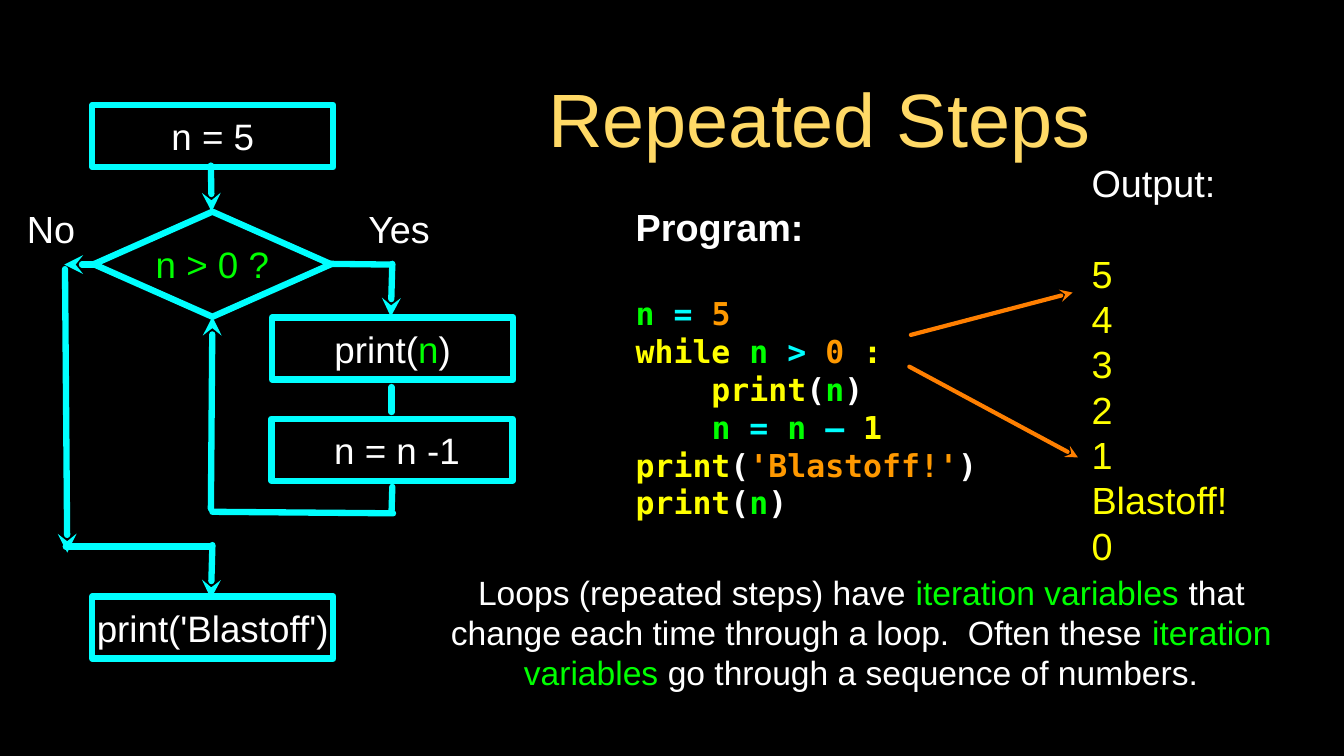
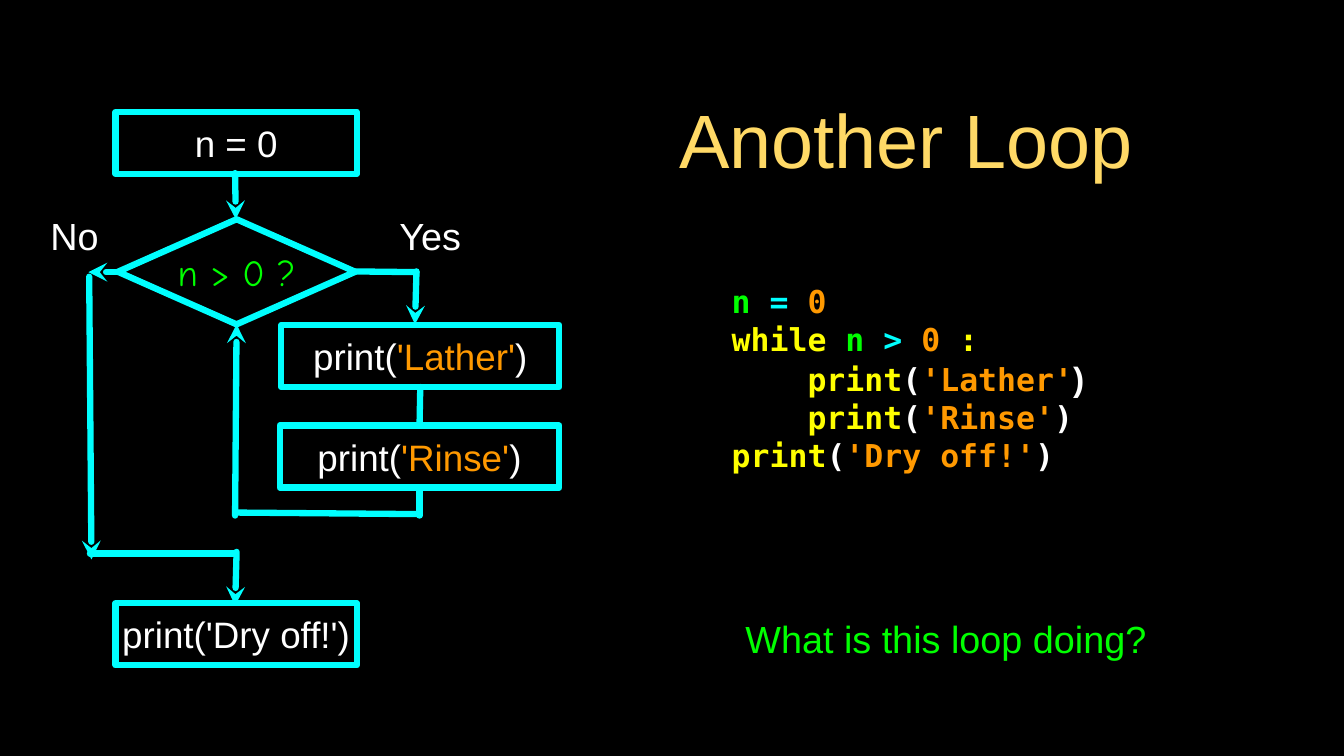
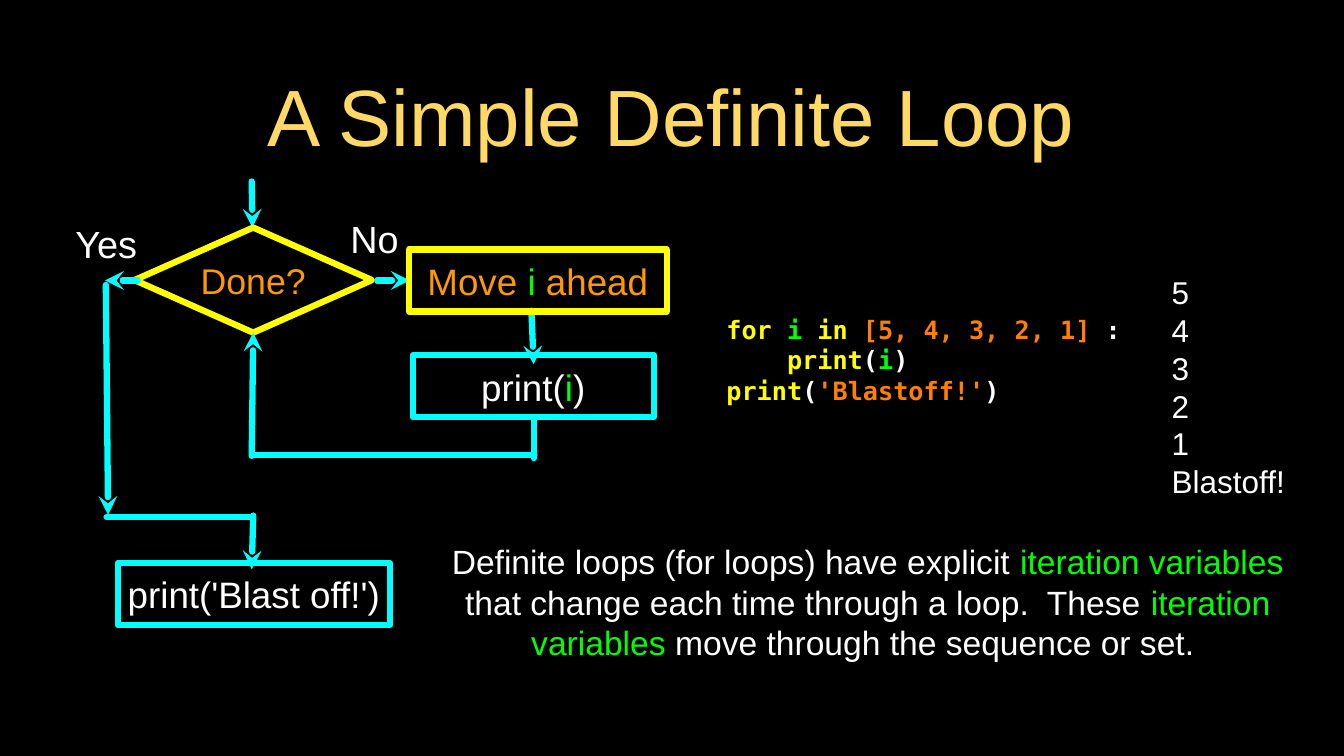
from lxml import etree
from pptx import Presentation
from pptx.dml.color import RGBColor
from pptx.enum.shapes import MSO_CONNECTOR, MSO_SHAPE
from pptx.enum.text import MSO_ANCHOR, MSO_AUTO_SIZE, PP_ALIGN
from pptx.oxml.ns import qn
from pptx.util import Inches, Pt

LEFT, CENTER = PP_ALIGN.LEFT, PP_ALIGN.CENTER
MIDDLE, NO_FIT = MSO_ANCHOR.MIDDLE, MSO_AUTO_SIZE.NONE
BOX, DIAMOND = MSO_SHAPE.RECTANGLE, MSO_SHAPE.DIAMOND
STRAIGHT = MSO_CONNECTOR.STRAIGHT
SANS, MONO, COMIC = "Arial", "DejaVu Sans Mono", "Comic Neue"
TITLE_ONLY = 5
LEADING = 1.2
STEP_HEIGHT = 0.82

COLORS = {
    "background": "000000",
    "title": "FFD966",
    "white": "FFFFFF",
    "cyan": "00FFFF",
    "green": "00FF00",
    "yellow": "FFFF00",
    "amber": "FF9900",
    "orange": "FF7F00",
}

OPEN, CLOSE = ("(", "white"), (")", "white")
PRINT, INDENTED_PRINT = ("print", "yellow"), ("    print", "yellow")


def rgb(name):
    """Return the named colour."""
    return RGBColor.from_string(COLORS[name])


def write(frame, paragraphs, size=35, font=SANS, color="white", bold=False,
          align=CENTER, inset=0, gap_before=()):
    """Fill a frame; a run is a string or (text, colour, format overrides)."""
    frame.word_wrap = True
    frame.auto_size = NO_FIT
    frame.vertical_anchor = MIDDLE
    frame.margin_left = frame.margin_right = Inches(inset)
    frame.margin_top = frame.margin_bottom = Inches(inset)
    for index, runs in enumerate(paragraphs):
        paragraph = frame.add_paragraph() if index else frame.paragraphs[0]
        paragraph.alignment = align
        largest = 0
        for item in [runs] if isinstance(runs, str) else runs:
            text, hue, *overrides = (item, color) if isinstance(item, str) else item
            style = {"size": size, "font": font, **(overrides[0] if overrides else {})}
            run = paragraph.add_run()
            run.text = text
            run.font.name = style["font"]
            run.font.size = Pt(style["size"])
            run.font.bold = bold
            run.font.color.rgb = rgb(hue)
            largest = max(largest, style["size"])
        paragraph.line_spacing = Pt(largest * LEADING)
        if index in gap_before:
            paragraph.space_before = Pt(36 * LEADING)


def add_text(slide, area, paragraphs, **style):
    """Add a text box over the area (left, top, width, height)."""
    box = slide.shapes.add_textbox(*map(Inches, area))
    write(box.text_frame, paragraphs, **style)


def add_step(slide, kind, area, runs, outline="cyan", **style):
    """Add an outlined flowchart step with its text."""
    step = slide.shapes.add_shape(kind, *map(Inches, area))
    step.shadow.inherit = False
    step.fill.background()
    step.line.color.rgb = rgb(outline)
    step.line.width = Pt(6)
    write(step.text_frame, [runs], **style)


def add_box(slide, left, top, width, runs, **style):
    """Add a rectangular step of the common height."""
    add_step(slide, BOX, (left, top, width, STEP_HEIGHT), runs, **style)


def add_line(slide, start, end, arrow=False, color="cyan", width=6):
    """Draw a round-capped line, with an arrowhead at its end if asked."""
    line = slide.shapes.add_connector(STRAIGHT, *map(Inches, start + end))
    line.line.color.rgb = rgb(color)
    line.line.width = Pt(width)
    properties = line._element.spPr
    stroke = properties.find(qn("a:ln"))
    stroke.set("cap", "rnd")
    if arrow:
        etree.SubElement(stroke, qn("a:tailEnd")).set("type", "stealth")
    etree.SubElement(properties, qn("a:effectLst"))


def add_arrow(slide, start, end, **style):
    """Draw a line that ends in an arrowhead."""
    add_line(slide, start, end, arrow=True, **style)


def add_slide(deck, title, area, size=72):
    """Add a slide with its title placed and styled."""
    slide = deck.slides.add_slide(deck.slide_layouts[TITLE_ONLY])
    heading = slide.shapes.title
    heading.left, heading.top, heading.width, heading.height = map(Inches, area)
    write(heading.text_frame, [title], size=size, color="title", inset=0.04)
    return slide


def add_loop(slide, left, top, question, back_drop, exit_drop, tip=0.08,
             outline="cyan", **style):
    """Draw the test of a loop, its entry, return and exit paths."""
    def at(x, y):
        """Return a point measured from the corner of the test."""
        return left + x, top + y

    add_arrow(slide, at(1.55, -0.61), at(1.56, 0))
    add_step(slide, DIAMOND, (left, top, 3.14, 1.39), question, outline, **style)
    add_arrow(slide, at(1.55, back_drop), at(1.57, 1.39))
    add_arrow(slide, at(0.04, 0.7), at(-0.39, 0.7))
    add_arrow(slide, at(-0.38, 0.76), at(-0.35, exit_drop + tip))
    add_line(slide, at(-0.37, exit_drop), at(1.55, exit_drop))
    add_arrow(slide, at(1.57, exit_drop - 0.02), at(1.55, exit_drop + 0.69))


def add_yes_branch(slide, left, top):
    """Lead from the right corner of the test down to the loop body."""
    add_line(slide, (left + 3.09, top + 0.69), (left + 3.95, top + 0.7))
    add_arrow(slide, (left + 3.95, top + 0.69), (left + 3.93, top + 1.39))


def add_label(slide, left, top, width, text):
    """Name a branch of the test."""
    add_text(slide, (left, top, width, 0.68), [text], size=36)


def add_code(slide, area, lines, size=30, **style):
    """Add coloured program text."""
    add_text(slide, area, lines, size=size, font=MONO, bold=True, align=LEFT, **style)


def build_repeated_steps(deck):
    """Build the Repeated Steps slide."""
    slide = add_slide(deck, "Repeated Steps", (5.18, 0.89, 11.32, 1.31))
    add_code(slide, (8.41, 2.37, 4.63, 4.85), [
        [("Program:", "white", {"size": 36, "font": SANS})],
        [("n ", "green"), ("= ", "cyan"), ("5", "amber")],
        [("while ", "yellow"), ("n ", "green"), ("> ", "cyan"), ("0", "amber"),
         (" :", "yellow")],
        [INDENTED_PRINT, OPEN, ("n", "green"), CLOSE],
        [("    ", "yellow"), ("n ", "green"), ("= ", "cyan"), ("n ", "green"),
         ("–", "cyan"), (" 1", "yellow")],
        [PRINT, OPEN, ("'Blastoff!'", "amber"), CLOSE],
        [PRINT, OPEN, ("n", "green"), CLOSE],
    ], gap_before=[1])
    add_loop(slide, 1.24, 2.8, "n > 0 ?", 3.93, 4.43, color="green")
    add_yes_branch(slide, 1.24, 2.8)
    add_line(slide, (5.18, 5.12), (5.18, 5.45))
    add_line(slide, (5.19, 6.44), (5.18, 6.77))
    add_line(slide, (2.81, 6.77), (5.2, 6.79))
    add_box(slide, 1.22, 1.39, 3.19, "n = 5")
    add_box(slide, 3.6, 4.2, 3.19, ["print(", ("n", "green"), ")"])
    add_box(slide, 3.59, 5.54, 3.19, " n = n -1")
    add_box(slide, 1.22, 7.89, 3.19, "print('Blastoff')")
    add_label(slide, 0.28, 2.68, 0.79, "No")
    add_label(slide, 4.78, 2.68, 1, "Yes")
    add_arrow(slide, (12.05, 4.43), (14.19, 3.87), color="orange", width=4)
    add_arrow(slide, (12.03, 4.85), (14.26, 6.05), color="orange", width=4)
    add_text(slide, (14.44, 2.19, 1.89, 5.24),
             [[("Output:", "white")], "5", "4", "3", "2", "1", "Blastoff!", "0"],
             size=36, color="yellow", align=LEFT, gap_before=[1])
    add_text(slide, (5.59, 7.45, 11.61, 1.82), [[
        "Loops (repeated steps) have ", ("iteration variables ", "green"),
        "that change each time through a loop.  Often these ",
        ("iteration variables ", "green"), "go through a sequence of numbers.",
    ]], size=32)


def build_another_loop(deck):
    """Build the Another Loop slide."""
    slide = add_slide(deck, "Another Loop", (7.47, 0.89, 9.03, 1.88))
    add_code(slide, (9.68, 3.48, 5.49, 3.03), [
        [("n ", "green"), ("= ", "cyan"), ("0", "amber")],
        [("while ", "yellow"), ("n ", "green"), ("> ", "cyan"), ("0", "amber"),
         (" :", "yellow")],
        [INDENTED_PRINT, OPEN, ("'Lather'", "amber"),
         (")", "white", {"size": 32, "font": SANS})],
        [INDENTED_PRINT, OPEN, ("'Rinse'", "amber"), CLOSE],
        [PRINT, OPEN, ("'Dry off!'", "amber"), CLOSE],
    ])
    add_loop(slide, 1.56, 2.9, "n > 0 ?", 3.92, 4.42, font=COMIC, color="green")
    add_yes_branch(slide, 1.56, 2.9)
    add_line(slide, (5.56, 5.12), (5.55, 5.63))
    add_line(slide, (5.55, 6.45), (5.55, 6.82))
    add_line(slide, (3.12, 6.78), (5.51, 6.8))
    add_box(slide, 1.53, 1.48, 3.19, "n = 0")
    add_box(slide, 3.72, 4.3, 3.68, ["print(", ("'Lather'", "amber"), ")"])
    add_box(slide, 3.7, 5.63, 3.7, ["print(", ("'Rinse'", "amber"), ")"])
    add_box(slide, 1.53, 7.98, 3.19, "print('Dry off!')")
    add_label(slide, 0.59, 2.77, 0.79, "No")
    add_label(slide, 5.1, 2.77, 1.18, "Yes")
    add_text(slide, (9.07, 8.11, 6.89, 0.68), ["What is this loop doing?"],
             size=36, color="green")


def build_definite_loop(deck):
    """Build the A Simple Definite Loop slide."""
    slide = add_slide(deck, "A Simple Definite Loop", (1.26, 0.89, 15.24, 1.24), 76)
    add_code(slide, (9.61, 3.85, 5.58, 1.82), [
        [("for ", "yellow"), ("i ", "green"), ("in ", "yellow"),
         ("[5, 4, 3, 2, 1] ", "orange"), (":", "white")],
        [INDENTED_PRINT, OPEN, ("i", "green"), CLOSE],
        [PRINT, OPEN, ("'Blastoff!'", "orange"), CLOSE],
    ], size=24)
    add_text(slide, (15.5, 3.35, 1.82, 3.53), ["5", "4", "3", "2", "1", "Blastoff!"],
             size=30, align=LEFT)
    add_loop(slide, 1.78, 3.01, "Done?", 3.02, 3.83, tip=-0.03, outline="yellow",
             size=34, color="amber")
    add_arrow(slide, (4.99, 3.71), (5.42, 3.71))
    add_arrow(slide, (7.03, 4.11), (7.06, 4.82))
    add_line(slide, (7.06, 5.52), (7.06, 6.06))
    add_line(slide, (3.36, 6.02), (7.07, 6.02))
    add_box(slide, 5.46, 4.7, 3.19, ["print(", ("i", "green"), ")"])
    add_box(slide, 5.41, 3.3, 3.41, ["Move ", ("i", "green"), " ahead"],
            outline="yellow", color="amber")
    add_box(slide, 1.56, 7.45, 3.6, "print('Blast off!')")
    add_label(slide, 0.76, 2.88, 1.29, "Yes")
    add_label(slide, 4.56, 2.81, 0.79, "No")
    add_text(slide, (5.94, 7.05, 11.08, 1.82), [[
        "Definite loops (for loops) have explicit ", ("iteration variables ", "green"),
        "that change each time through a loop.  These ",
        ("iteration variables", "green"), " move through the sequence or set. ",
    ]], size=32)


def main():
    """Build and save the deck."""
    deck = Presentation()
    deck.slide_width, deck.slide_height = Inches(17.78), Inches(10)
    backdrop = deck.slide_master.background.fill
    backdrop.solid()
    backdrop.fore_color.rgb = rgb("background")
    build_repeated_steps(deck)
    build_another_loop(deck)
    build_definite_loop(deck)
    deck.save("out.pptx")


if __name__ == "__main__":
    main()
